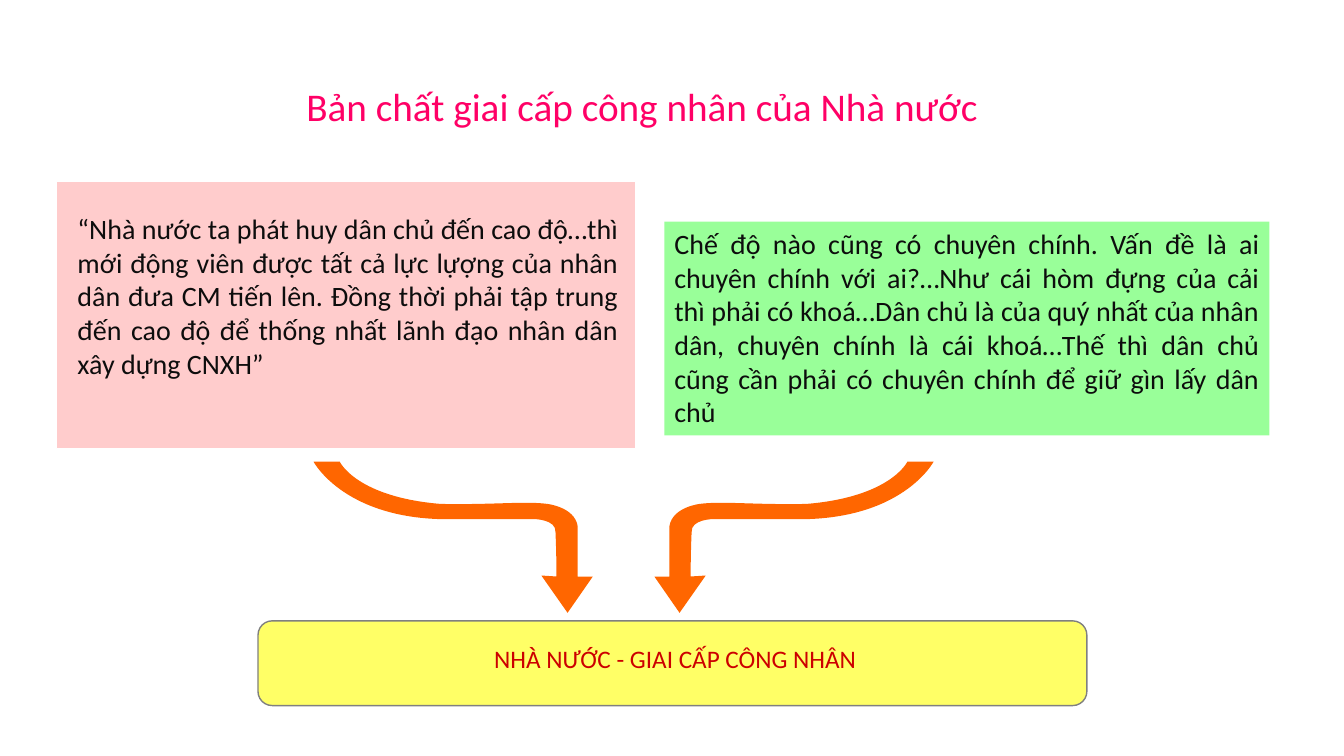
from lxml.etree import SubElement
from pptx import Presentation
from pptx.dml.color import RGBColor
from pptx.enum.shapes import MSO_SHAPE
from pptx.enum.text import MSO_ANCHOR, MSO_AUTO_SIZE, PP_ALIGN
from pptx.oxml.ns import qn
from pptx.util import Inches, Pt

TITLE = "Bản chất giai cấp công nhân của Nhà nước "
DEMOCRACY = (
    "“Nhà nước ta phát huy dân chủ đến cao độ…thì mới động viên được tất cả "
    "lực lựợng của nhân dân đưa CM tiến lên. Đồng thời phải tập trung đến cao "
    "độ để thống nhất lãnh đạo nhân dân xây dựng CNXH”"
)
DICTATORSHIP = (
    "Chế độ nào cũng có chuyên chính. Vấn đề là ai chuyên chính với ai?…Như "
    "cái hòm đựng của cải thì phải có khoá…Dân chủ là của quý nhất của nhân "
    "dân, chuyên chính là cái khoá…Thế thì dân chủ cũng cần phải có chuyên "
    "chính để giữ gìn lấy dân chủ"
)
CONCLUSION = "NHÀ NƯỚC - GIAI CẤP CÔNG NHÂN "

COLORS = {
    "title": "FF0066", "body": "0D0D0D", "conclusion": "CC0000",
    "pink": "FFCCCC", "green": "99FF99", "yellow": "FFFF66",
    "orange": "FF6600", "white": "FFFFFF", "gray": "808080",
}

# Percent of slide width and height: left, top, width, height
BAR = (19.2, 82.13, 61.67, 11.2)
BAR_LABEL = (20.86, 84.4, 59.19, 5.33)
DEMOCRACY_PANEL = (4.2, 24, 43.06, 35.33)
TITLE_BOX = (22.06, 10.27, 62.72, 7.6)
DEMOCRACY_BOX = (5.03, 27.33, 41.71, 23.73)
DICTATORSHIP_PANEL = (49.44, 29.33, 45.01, 28.27)

# Hundredths of an inch; two coordinates draw a line, six draw a curve
ARROW = [
    (0, 0, 32, 61, 144, 57), (181, 57, 218, 57, 218, 57),
    (218, 57, 241, 57, 240, 70), (241, 92, 241, 114, 241, 114),
    (226, 113), (252, 150), (277, 114), (262, 114),
    (262, 114, 262, 89, 262, 64), (259, 45, 232, 42, 232, 42),
    (210, 39, 178, 43, 126, 42), (42, 35, 26, 0, 26, 0), (0, 0),
]
ARROW_LEFT, ARROW_RIGHT, ARROW_TOP = 311, 926, 458

prs = Presentation()
prs.slide_width, prs.slide_height = Inches(13.33), Inches(7.5)
s = prs.slides.add_slide(prs.slide_layouts[6])


def color(name):
    return RGBColor.from_string(COLORS[name])


def place(box):
    sides = (prs.slide_width, prs.slide_height) * 2
    return [round(share * side / 100) for share, side in zip(box, sides)]


def paint(sp, fill, line=None, width=0):
    sp.shadow.inherit = False
    sp.fill.solid()
    sp.fill.fore_color.rgb = color(fill)
    if line:
        sp.line.color.rgb = color(line)
        sp.line.width = Pt(width)
    else:
        sp.line.fill.background()


def panel(shape, box, *style):
    sp = s.shapes.add_shape(shape, *place(box))
    paint(sp, *style)
    return sp


def write(sp, text, size, ink, align=PP_ALIGN.JUSTIFY):
    tf = sp.text_frame
    tf.word_wrap = True
    tf.auto_size = MSO_AUTO_SIZE.SHAPE_TO_FIT_TEXT
    tf.vertical_anchor = MSO_ANCHOR.TOP
    p = tf.paragraphs[0]
    p.text = text
    p.alignment = align
    p.font.name = "Calibri"
    p.font.size = Pt(size)
    p.font.color.rgb = color(ink)


def textbox(box, *style):
    write(s.shapes.add_textbox(*place(box)), *style)


def arrow(start, direction):
    points = [
        (Inches((start + direction * x) / 100), Inches((ARROW_TOP + y) / 100))
        for segment in ARROW
        for x, y in zip(segment[::2], segment[1::2])
    ]
    builder = s.shapes.build_freeform(Inches(start / 100), Inches(ARROW_TOP / 100))
    builder.add_line_segments(points, close=True)
    sp = builder.convert_to_shape()
    nodes = iter(list(sp.element.iter(qn("a:lnTo"))))
    for segment in ARROW:
        group = [next(nodes) for _ in segment[::2]]
        if len(group) == 3:
            outline = group[0].getparent()
            curve = SubElement(outline, qn("a:cubicBezTo"))
            outline.replace(group[0], curve)
            for node in group:
                curve.append(node[0])
            for node in group[1:]:
                outline.remove(node)
    paint(sp, "orange")


panel(MSO_SHAPE.ROUNDED_RECTANGLE, BAR, "yellow", "gray", 1)
textbox(BAR_LABEL, CONCLUSION, 18, "conclusion", PP_ALIGN.CENTER)
panel(MSO_SHAPE.RECTANGLE, DEMOCRACY_PANEL, "pink", "white", 0.75)
textbox(TITLE_BOX, TITLE, 28, "title")
textbox(DEMOCRACY_BOX, DEMOCRACY, 20, "body")
write(panel(MSO_SHAPE.RECTANGLE, DICTATORSHIP_PANEL, "green"), DICTATORSHIP, 20, "body")
arrow(ARROW_LEFT, 1)
arrow(ARROW_RIGHT, -1)

prs.save("out.pptx")
